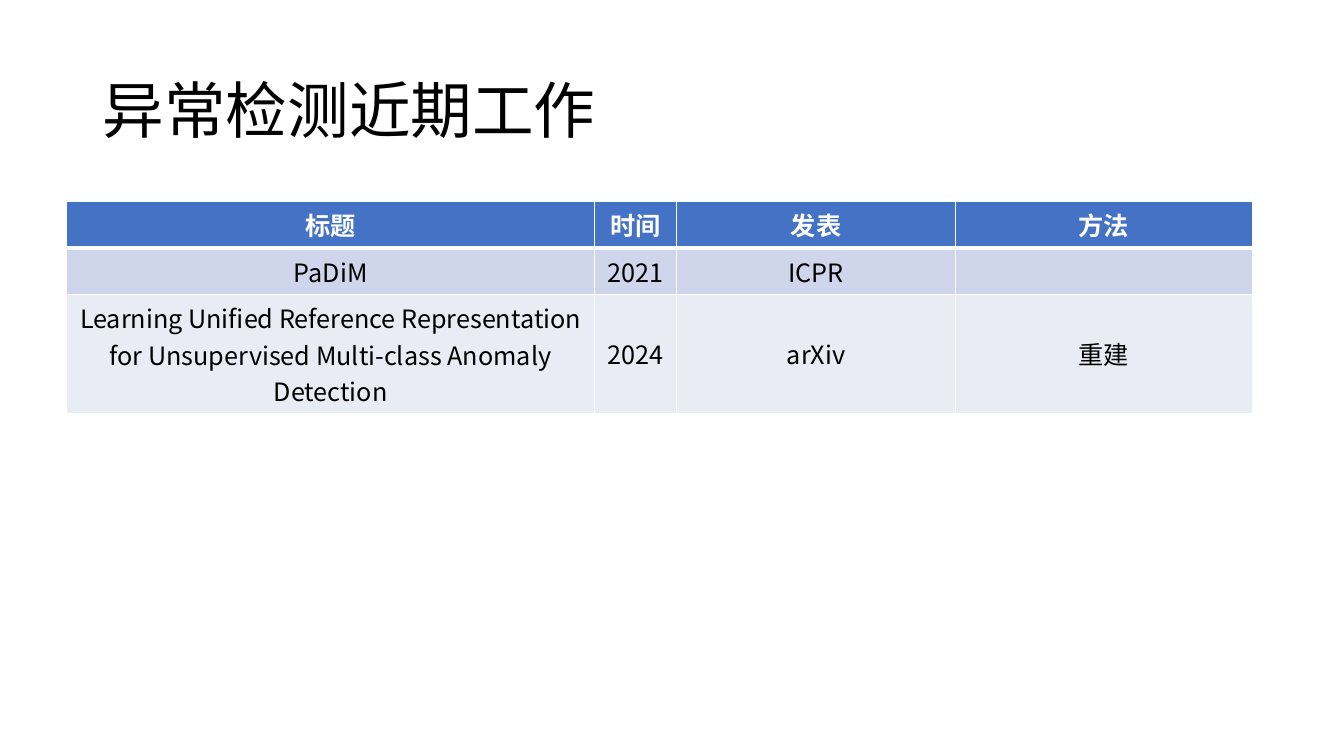
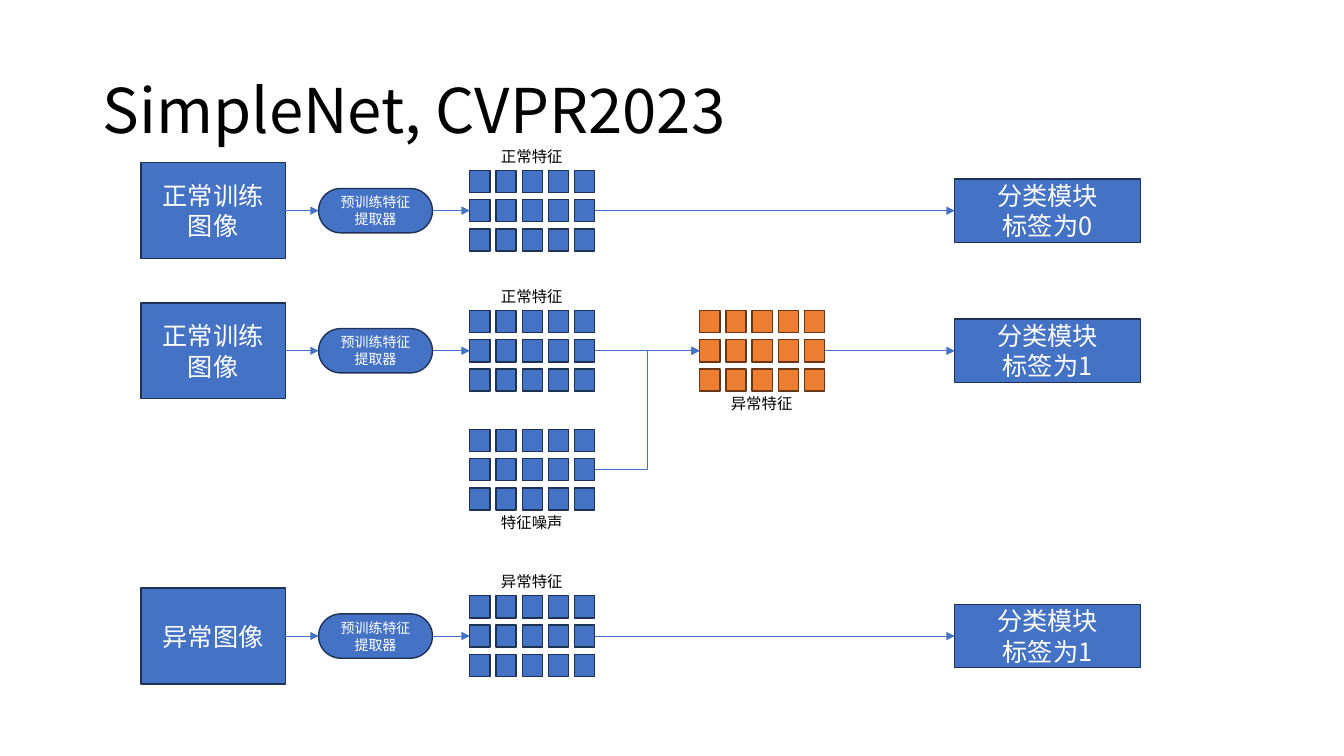
from lxml.etree import SubElement
from pptx import Presentation
from pptx.dml.color import RGBColor
from pptx.enum.shapes import MSO_CONNECTOR, MSO_SHAPE
from pptx.enum.text import MSO_ANCHOR, PP_ALIGN
from pptx.oxml.ns import qn
from pptx.util import Inches, Pt

FONT = "Noto Sans CJK SC"
COLORS = {
    "blue": "4472C4", "blue_edge": "1E3256",
    "orange": "ED7D31", "orange_edge": "683715",
    "band_dark": "CFD5EA", "band_light": "E9EBF5",
    "white": "FFFFFF", "black": "000000",
}

# Content: table of recent work
WORK_TITLE = "异常检测近期工作"
WORK_COLS = [5.24, 0.81, 2.77, 2.94]
WORK_ROWS = [
    ("标题", "时间", "发表", "方法"),
    ("PaDiM", "2021", "ICPR", ""),
    ("Learning Unified Reference Representation for Unsupervised "
     "Multi-class Anomaly Detection", "2024", "arXiv", "重建"),
]
ROW_FILLS = ["blue", "band_dark", "band_light"]
ROW_HEIGHTS = [0.46, 0.46, 1.18]

# Content: pipelines as (centre y, input, feature caption, label, noisy)
NET_TITLE = "SimpleNet, CVPR2023"
EXTRACTOR = "预训练特征提取器"
PIPELINES = [
    (2.09, "正常训练图像", "正常特征", "标签为0", False),
    (3.48, "正常训练图像", "正常特征", "标签为1", True),
    (6.31, "异常图像", "异常特征", "标签为1", False),
]
NOISE_Y, NOISE_CAPTION, MIXED_CAPTION = 4.66, "特征噪声", "异常特征"

# Geometry in inches
INPUT_X, EXTRACTOR_X, FEATURE_X, MIXED_X, CLASS_X = 1.4, 3.16, 4.66, 6.94, 9.47
INPUT_SIZE, EXTRACTOR_SIZE, CLASS_SIZE = (1.43, 0.95), (1.13, 0.44), (1.84, 0.63)
GRID_ROWS, GRID_COLS = 3, 5
CELL_W, CELL_H, STEP_X, STEP_Y = 0.2, 0.22, 0.26, 0.29
GRID_W = (GRID_COLS - 1) * STEP_X + CELL_W
CAPTION_W, CAPTION_H = 0.82, 0.29
LEFT_SITE, RIGHT_SITE = 1, 3


def rgb(name):
    return RGBColor.from_string(COLORS[name])


def add_run(p, text, size, color, bold=False):
    r = p.add_run()
    r.text = text
    r.font.size, r.font.bold, r.font.name = Pt(size), bold, FONT
    r.font.color.rgb = rgb(color)
    SubElement(r.font._element, qn("a:ea"), typeface=FONT)


def add_text(s, x, y, w, h, text, size, wrap=True):
    tf = s.shapes.add_textbox(Inches(x), Inches(y), Inches(w), Inches(h)).text_frame
    tf.word_wrap = wrap
    add_run(tf.paragraphs[0], text, size, "black")
    return tf


def add_titled_slide(prs, title):
    s = prs.slides.add_slide(prs.slide_layouts[6])
    tf = add_text(s, 0.92, 0.4, 11.5, 1.45, title, 44)
    tf.vertical_anchor = MSO_ANCHOR.MIDDLE
    tf.paragraphs[0].line_spacing = 0.9
    return s


def set_borders(cell, bottom):
    tc_pr = cell._tc.get_or_add_tcPr()
    for side, width in (("L", 1), ("R", 1), ("T", 1), ("B", bottom)):
        ln = SubElement(tc_pr, qn(f"a:ln{side}"), w=str(Pt(width)))
        fill = SubElement(ln, qn("a:solidFill"))
        SubElement(fill, qn("a:srgbClr"), val=COLORS["white"])


def add_work_table(s):
    table = s.shapes.add_table(
        len(WORK_ROWS), len(WORK_COLS), Inches(0.66), Inches(2),
        Inches(sum(WORK_COLS)), Inches(sum(ROW_HEIGHTS))).table
    for col, width in zip(table.columns, WORK_COLS):
        col.width = Inches(width)
    for i, (texts, fill) in enumerate(zip(WORK_ROWS, ROW_FILLS)):
        header = i == 0
        table.rows[i].height = Inches(ROW_HEIGHTS[i])
        for j, text in enumerate(texts):
            cell = table.cell(i, j)
            set_borders(cell, 3 if header else 1)
            cell.fill.solid()
            cell.fill.fore_color.rgb = rgb(fill)
            cell.vertical_anchor = MSO_ANCHOR.TOP if header else MSO_ANCHOR.MIDDLE
            p = cell.text_frame.paragraphs[0]
            p.alignment = PP_ALIGN.CENTER
            if text:
                add_run(p, text, 18, "white" if header else "black", header)


def add_box(shapes, x, cy, size, color="blue", kind=MSO_SHAPE.RECTANGLE):
    w, h = size
    sp = shapes.add_shape(kind, Inches(x), Inches(cy - h / 2), Inches(w), Inches(h))
    sp.shadow.inherit = False
    sp.fill.solid()
    sp.fill.fore_color.rgb = rgb(color)
    sp.line.color.rgb = rgb(color + "_edge")
    sp.line.width = Pt(1)
    return sp


def add_label(sp, lines, size):
    tf = sp.text_frame
    tf.word_wrap = True
    tf.vertical_anchor = MSO_ANCHOR.MIDDLE
    for i, line in enumerate(lines):
        p = tf.add_paragraph() if i else tf.paragraphs[0]
        p.alignment = PP_ALIGN.CENTER
        add_run(p, line, size, "white")


def add_grid(s, x, cy, caption, above, color="blue"):
    """Draw a captioned feature grid; return the middle row's end cells."""
    shapes = s.shapes.add_group_shape().shapes
    rows = [[add_box(shapes, x + j * STEP_X, cy + (i - GRID_ROWS // 2) * STEP_Y,
                     (CELL_W, CELL_H), color) for j in range(GRID_COLS)]
            for i in range(GRID_ROWS)]
    caption_y = cy - 0.68 if above else cy + 0.38
    add_text(s, x + (GRID_W - CAPTION_W) / 2, caption_y, CAPTION_W, CAPTION_H,
             caption, 11, wrap=False)
    middle = rows[GRID_ROWS // 2]
    return middle[0], middle[-1]


def link(s, source, target, kind=MSO_CONNECTOR.STRAIGHT):
    c = s.shapes.add_connector(kind, 0, 0, 0, 0)
    c.begin_connect(source, RIGHT_SITE)
    c.end_connect(target, LEFT_SITE)
    c.line.color.rgb = rgb("blue")
    c.line.width = Pt(0.5)
    SubElement(c.line._get_or_add_ln(), qn("a:tailEnd"), type="triangle")
    SubElement(c._element.spPr, qn("a:effectLst"))


def add_pipeline(s, cy, image, caption, label, noisy):
    source = add_box(s.shapes, INPUT_X, cy, INPUT_SIZE)
    add_label(source, [image], 18)
    extractor = add_box(s.shapes, EXTRACTOR_X, cy, EXTRACTOR_SIZE,
                        kind=MSO_SHAPE.ROUNDED_RECTANGLE)
    extractor.adjustments[0] = 0.5
    add_label(extractor, [EXTRACTOR], 10)
    first, last = add_grid(s, FEATURE_X, cy, caption, above=True)
    link(s, source, extractor)
    link(s, extractor, first)
    if noisy:
        noise = add_grid(s, FEATURE_X, NOISE_Y, NOISE_CAPTION, above=False)[1]
        mixed, mixed_last = add_grid(s, MIXED_X, cy, MIXED_CAPTION, False, "orange")
        link(s, last, mixed)
        link(s, noise, mixed, MSO_CONNECTOR.ELBOW)
        last = mixed_last
    classifier = add_box(s.shapes, CLASS_X, cy, CLASS_SIZE)
    add_label(classifier, ["分类模块", label], 18)
    link(s, last, classifier)


def main():
    prs = Presentation()
    prs.slide_width, prs.slide_height = Inches(13.33), Inches(7.5)
    add_work_table(add_titled_slide(prs, WORK_TITLE))
    s = add_titled_slide(prs, NET_TITLE)
    for pipeline in PIPELINES:
        add_pipeline(s, *pipeline)
    prs.save("out.pptx")


if __name__ == "__main__":
    main()
